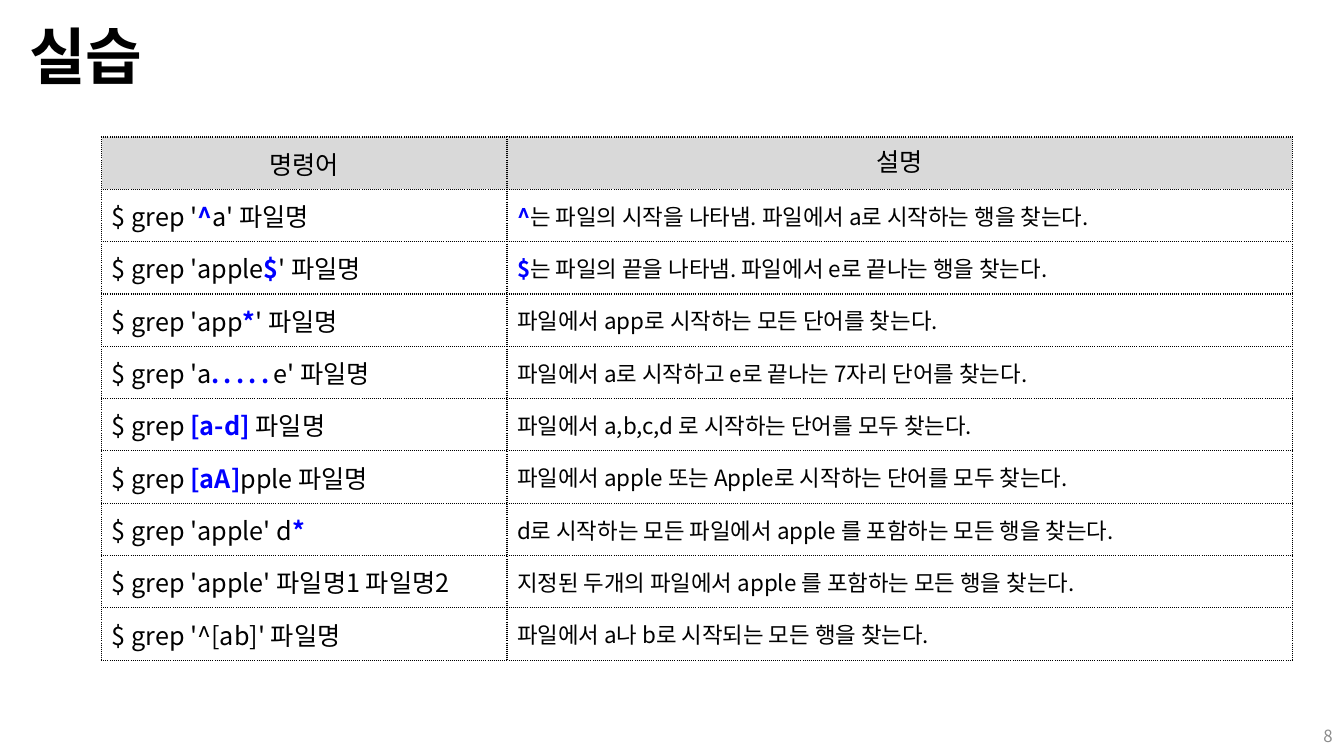
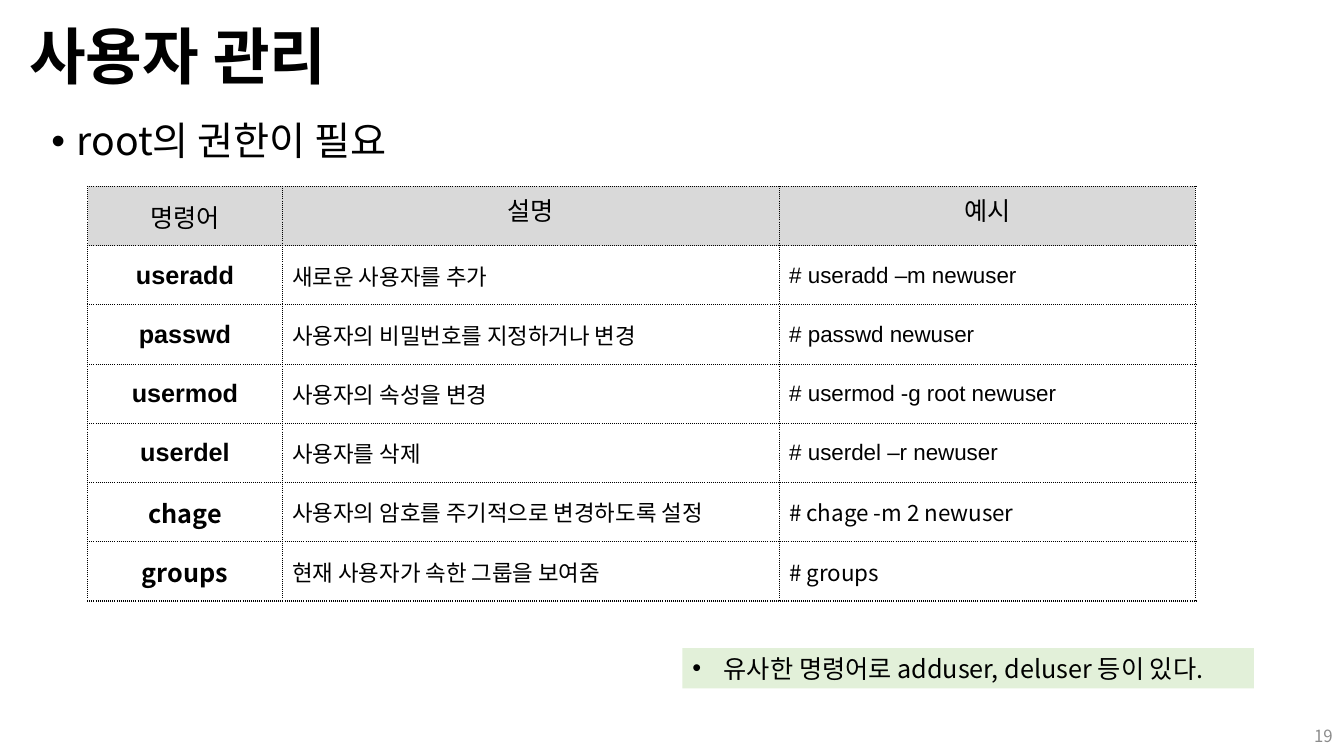
"""Build two slides on shell commands with python-pptx."""
from lxml.etree import SubElement
from pptx import Presentation
from pptx.dml.color import RGBColor
from pptx.enum.shapes import MSO_SHAPE as Shape
from pptx.enum.text import MSO_ANCHOR as Anchor, MSO_AUTO_SIZE as AutoSize, PP_ALIGN as Align
from pptx.oxml.ns import qn
from pptx.util import Pt

BLACK = RGBColor(0x00, 0x00, 0x00)
BLUE = RGBColor(0x00, 0x00, 0xFF)
GRAY = RGBColor(0x8C, 0x8C, 0x8C)
HEADER_FILL = RGBColor(0xD9, 0xD9, 0xD9)
NOTE_FILL = RGBColor(0xE2, 0xF0, 0xD9)

KOREAN_FONT = "Noto Sans CJK KR"
LATIN_FONT = "Arial"
TITLE_ONLY, TITLE_AND_BODY = 5, 1

TITLE_BOX = (13.68, 13.68, 930.96, 58.32)
BODY_BOX = (29.52, 83.52, 900.72, 442.08)
NUMBER_BOX = (923.04, 511.2, 36, 28.8)
NOTE_BOX = (487.44, 462.96, 408.24, 28.8)

TITLE_FORMAT = {"size": Pt(44), "bold": True}
BODY_FORMAT = {"size": Pt(28)}
NUMBER_FORMAT = {"size": Pt(12)}
COMMAND_FORMAT = {"size": Pt(18), "bold": False}
NAME_FORMAT = {"size": Pt(18), "bold": True}
DETAIL_FORMAT = {"size": Pt(16), "bold": False}

GREP_HEADERS = ("명령어", "설명")
GREP_ROWS = (
    ("$ grep '|^|a' 파일명", "|^|는 파일의 시작을 나타냄. 파일에서 a로 시작하는 행을 찾는다."),
    ("$ grep 'apple|$|' 파일명", "|$|는 파일의 끝을 나타냄. 파일에서 e로 끝나는 행을 찾는다."),
    ("$\u00a0grep 'app|*|' 파일명", "파일에서 app로 시작하는 모든 단어를 찾는다."),
    ("$ grep 'a|.....|e' 파일명", "파일에서 a로 시작하고 e로 끝나는 7자리 단어를 찾는다."),
    ("$ grep |[a-d] |파일명", "파일에서 a,b,c,d 로 시작하는 단어를 모두 찾는다."),
    ("$ grep |[aA]|pple 파일명", "파일에서 apple 또는 Apple로 시작하는 단어를 모두 찾는다."),
    ("$ grep 'apple' d|*|", "d로 시작하는 모든 파일에서 apple 를 포함하는 모든 행을 찾는다."),
    ("$ grep 'apple' 파일명1 파일명2", "지정된 두개의 파일에서 apple 를 포함하는 모든 행을 찾는다."),
    ("$ grep '^[ab]' 파일명", "파일에서 a나 b로 시작되는 모든 행을 찾는다."),
)
USER_HEADERS = ("명령어", "설명", "예시")
USER_ROWS = (
    ("useradd", "새로운 사용자를 추가", "# useradd –m newuser"),
    ("passwd", "사용자의 비밀번호를 지정하거나 변경", "# passwd newuser"),
    ("usermod", "사용자의 속성을 변경", "# usermod -g root newuser"),
    ("userdel", "사용자를 삭제", "# userdel –r newuser"),
    ("chage", "사용자의 암호를 주기적으로 변경하도록 설정", "# chage -m 2 newuser"),
    ("groups", "현재 사용자가 속한 그룹을 보여줌", "# groups"),
)
ARIAL_ROWS = 4


def points(lengths):
    """Convert numbers of points to lengths."""
    return [Pt(length) for length in lengths]


def place(shape, box):
    """Move and size a shape to a box in points."""
    for name, value in zip(("left", "top", "width", "height"), points(box)):
        setattr(shape, name, value)


def add_run(paragraph, text, formats, color=BLACK, latin=KOREAN_FONT):
    """Add a formatted run to a paragraph and return it."""
    run = paragraph.add_run()
    run.text = text
    for name, value in formats.items():
        setattr(run.font, name, value)
    run.font.name = latin
    run.font.color.rgb = color
    properties = run._r.get_or_add_rPr()
    SubElement(properties, qn("a:ea")).set("typeface", KOREAN_FONT)
    return run


def add_marked_text(paragraph, text, formats, latin=KOREAN_FONT):
    """Write text whose parts between bars are bold and blue."""
    for index, part in enumerate(text.split("|")):
        if not part:
            continue
        if index % 2 == 0:
            add_run(paragraph, part, formats, latin=latin)
            continue
        run = add_run(paragraph, part, {**formats, "bold": True}, BLUE, latin)
        if part == ".....":
            run._r.get_or_add_rPr().set("spc", "300")


def set_bullet(paragraph, indent):
    """Give a paragraph a round bullet with a hanging indent in points."""
    properties = paragraph._p.get_or_add_pPr()
    properties.set("marL", str(Pt(indent)))
    properties.set("indent", str(-Pt(indent)))
    SubElement(properties, qn("a:buFont")).set("typeface", LATIN_FONT)
    SubElement(properties, qn("a:buChar")).set("char", "•")


def format_frame(frame, anchor):
    """Wrap a text frame at a fixed size and return its first paragraph."""
    formats = {"word_wrap": True, "auto_size": AutoSize.NONE, "vertical_anchor": anchor}
    for name, value in formats.items():
        setattr(frame, name, value)
    return frame.paragraphs[0]


def add_titled_slide(presentation, layout_index, title, number):
    """Add a slide with its title and page number."""
    slide = presentation.slides.add_slide(presentation.slide_layouts[layout_index])
    place(slide.shapes.title, TITLE_BOX)
    paragraph = format_frame(slide.shapes.title.text_frame, Anchor.MIDDLE)
    paragraph.alignment = Align.LEFT
    paragraph.line_spacing = 0.9
    add_run(paragraph, title, TITLE_FORMAT)
    number_box = slide.shapes.add_textbox(*points(NUMBER_BOX))
    paragraph = format_frame(number_box.text_frame, Anchor.MIDDLE)
    paragraph.alignment = Align.RIGHT
    add_run(paragraph, number, NUMBER_FORMAT, GRAY)
    return slide


def add_body(slide, text):
    """Fill the body placeholder with one bulleted line."""
    body = slide.placeholders[1]
    place(body, BODY_BOX)
    paragraph = format_frame(body.text_frame, Anchor.TOP)
    paragraph.line_spacing = 0.9
    paragraph.space_before = Pt(10)
    set_bullet(paragraph, 18)
    add_run(paragraph, text, BODY_FORMAT)


def add_note(slide, text):
    """Add a tinted box holding one bulleted remark."""
    note = slide.shapes.add_shape(Shape.RECTANGLE, *points(NOTE_BOX))
    note.shadow.inherit = False
    note.fill.solid()
    note.fill.fore_color.rgb = NOTE_FILL
    note.line.fill.background()
    paragraph = format_frame(note.text_frame, Anchor.MIDDLE)
    paragraph.alignment = Align.LEFT
    set_bullet(paragraph, 22.5)
    add_run(paragraph, text, COMMAND_FORMAT)


def set_borders(cell):
    """Draw dotted black borders around a cell."""
    properties = cell._tc.get_or_add_tcPr()
    for index, side in enumerate(("lnL", "lnR", "lnT", "lnB")):
        line = SubElement(properties, qn(f"a:{side}"), w=str(Pt(1)))
        properties.insert(index, line)
        fill = SubElement(line, qn("a:solidFill"))
        SubElement(fill, qn("a:srgbClr")).set("val", str(BLACK))
        SubElement(line, qn("a:prstDash")).set("val", "sysDot")


def fill_cell(cell, text, formats, alignment, anchor=Anchor.MIDDLE, latin=KOREAN_FONT):
    """Write and align the text of an unfilled, bordered cell."""
    cell.vertical_anchor = anchor
    cell.fill.background()
    set_borders(cell)
    paragraph = cell.text_frame.paragraphs[0]
    paragraph.alignment = alignment
    add_marked_text(paragraph, text, formats, latin)


def add_command_table(slide, origin, widths, row_height, headers, rows):
    """Add a table with gray headers and return its body rows of cells."""
    row_count = len(rows) + 1
    box = (*origin, sum(widths), row_height * row_count)
    table = slide.shapes.add_table(row_count, len(widths), *points(box)).table
    table.first_row = table.horz_banding = False
    for column, width in zip(table.columns, widths):
        column.width = Pt(width)
    for row in table.rows:
        row.height = Pt(row_height)
    for index, text in enumerate(headers):
        cell = table.cell(0, index)
        anchor = Anchor.TOP if index else Anchor.MIDDLE
        fill_cell(cell, text, COMMAND_FORMAT, Align.CENTER, anchor)
        cell.fill.solid()
        cell.fill.fore_color.rgb = HEADER_FILL
    return [list(row.cells) for row in table.rows][1:]


def build_grep_slide(presentation):
    """Build the slide of grep exercises."""
    slide = add_titled_slide(presentation, TITLE_ONLY, "실습", "8")
    cells = add_command_table(
        slide, (72.72, 97.92), (289.44, 560.88), 37.37, GREP_HEADERS, GREP_ROWS)
    for (command_cell, detail_cell), (command, detail) in zip(cells, GREP_ROWS):
        fill_cell(command_cell, command, COMMAND_FORMAT, Align.LEFT)
        fill_cell(detail_cell, detail, DETAIL_FORMAT, Align.LEFT)


def build_user_slide(presentation):
    """Build the slide of user management commands."""
    slide = add_titled_slide(presentation, TITLE_AND_BODY, "사용자 관리", "19")
    add_body(slide, "root의 권한이 필요")
    cells = add_command_table(
        slide, (62.64, 133.2), (138.96, 354.96, 297.36), 42.3, USER_HEADERS, USER_ROWS)
    for index, (row_cells, row) in enumerate(zip(cells, USER_ROWS)):
        latin = LATIN_FONT if index < ARIAL_ROWS else KOREAN_FONT
        name_cell, *detail_cells = row_cells
        name, *details = row
        fill_cell(name_cell, name, NAME_FORMAT, Align.CENTER, latin=latin)
        for cell, text in zip(detail_cells, details):
            fill_cell(cell, text, DETAIL_FORMAT, Align.LEFT, latin=latin)
    add_note(slide, "유사한 명령어로 adduser, deluser 등이 있다.")


def main():
    """Build and save the presentation."""
    presentation = Presentation()
    presentation.slide_width = Pt(960)
    presentation.slide_height = Pt(540)
    build_grep_slide(presentation)
    build_user_slide(presentation)
    presentation.save("out.pptx")


main()
